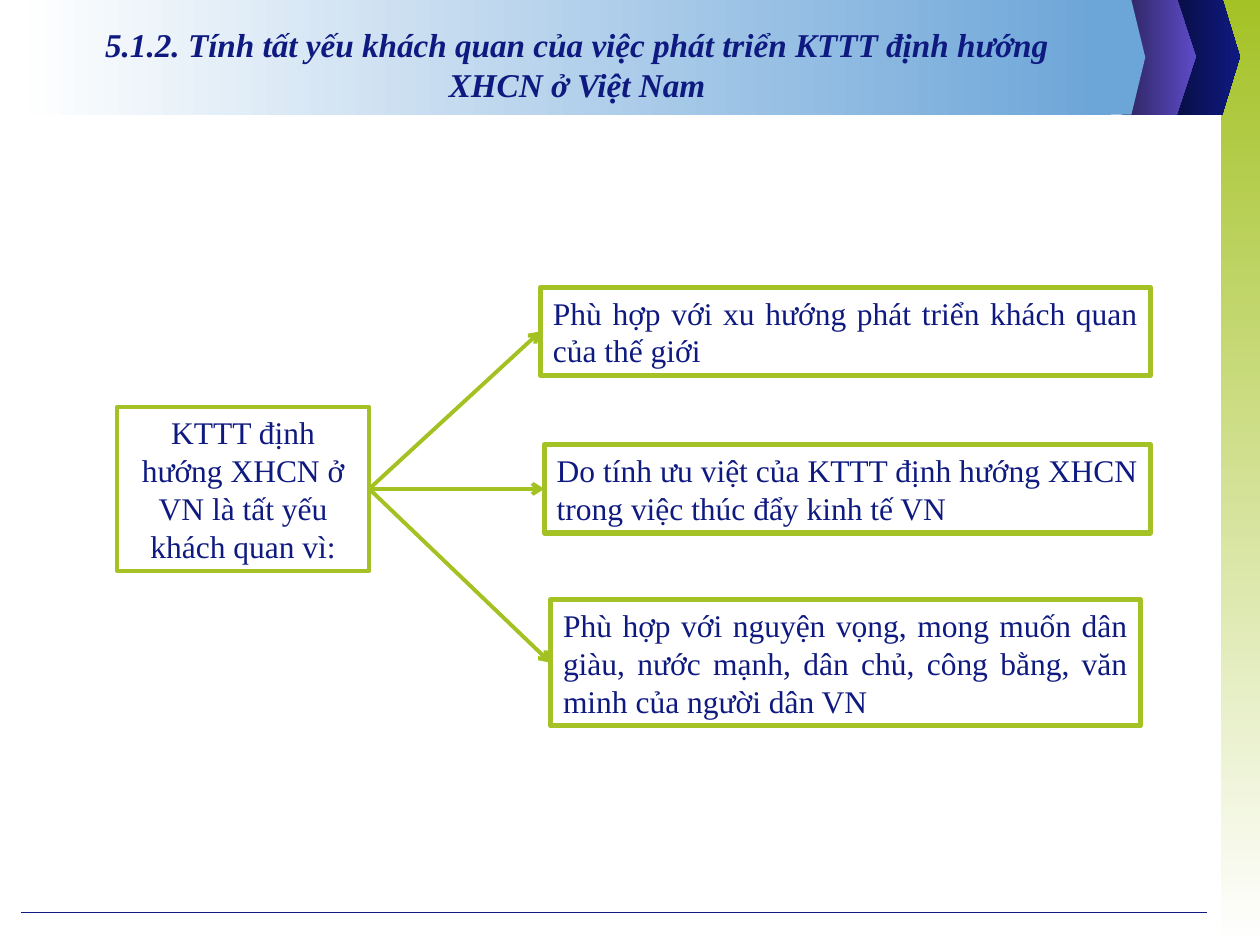
from lxml import etree
from pptx import Presentation
from pptx.dml.color import RGBColor
from pptx.enum.shapes import MSO_CONNECTOR, MSO_SHAPE
from pptx.enum.text import MSO_ANCHOR, MSO_AUTO_SIZE, PP_ALIGN
from pptx.oxml.ns import qn
from pptx.util import Inches, Pt

STRAIGHT = MSO_CONNECTOR.STRAIGHT
RECTANGLE = MSO_SHAPE.RECTANGLE
MIDDLE = MSO_ANCHOR.MIDDLE
FIT_SHAPE = MSO_AUTO_SIZE.SHAPE_TO_FIT_TEXT
CENTER, JUSTIFY = PP_ALIGN.CENTER, PP_ALIGN.JUSTIFY

WHITE = RGBColor(0xFF, 0xFF, 0xFF)
GREEN = RGBColor(0xA4, 0xC2, 0x26)
ARROW_GREEN = RGBColor(0xA3, 0xC1, 0x21)
NAVY = RGBColor(0x0F, 0x1A, 0x81)
DARK_NAVY = RGBColor(0x07, 0x0C, 0x3C)
PURPLE = RGBColor(0x5D, 0x4B, 0xC7)
DARK_PURPLE = RGBColor(0x2B, 0x23, 0x5C)
SKY = RGBColor(0x6C, 0xA5, 0xD8)

FONT = "Times New Roman"
LEFT_SITE, RIGHT_SITE = 1, 3
RIGHTWARD, DOWNWARD = 0, 270

TITLE = ("5.1.2. Tính tất yếu khách quan của việc phát triển KTTT "
         "định hướng XHCN ở Việt Nam")
CLAIM = "KTTT định hướng XHCN ở VN là tất yếu khách quan vì:"
REASONS = [
    ((4.29, 2.28, 4.84, 0.7),
     "Phù hợp với xu hướng phát triển khách quan của thế giới"),
    ((4.32, 3.53, 4.81, 0.7),
     "Do tính ưu việt của KTTT định hướng XHCN trong việc thúc đẩy kinh tế VN"),
    ((4.37, 4.76, 4.68, 1),
     "Phù hợp với nguyện vọng, mong muốn dân giàu, nước mạnh, dân chủ, "
     "công bằng, văn minh của người dân VN"),
]


def fill_shape(shape, colors, angle=RIGHTWARD):
    """Fill with one colour, or with a gradient between two; no outline."""
    shape.shadow.inherit = False
    shape.line.fill.background()
    if len(colors) == 1:
        shape.fill.solid()
        shape.fill.fore_color.rgb = colors[0]
        return
    shape.fill.gradient()
    shape.fill.gradient_angle = angle
    for stop, color in zip(shape.fill.gradient_stops, colors):
        stop.color.rgb = color


def add_rectangle(slide, box):
    return slide.shapes.add_shape(RECTANGLE, *map(Inches, box))


def add_chevron(slide, left, top, shoulder, tip, colors):
    """Draw a flat-backed tab that points right, down to the banner's edge."""
    bottom = 0.91
    outline = [(shoulder, top), (tip, (top + bottom) / 2),
               (shoulder, bottom), (left, bottom)]
    builder = slide.shapes.build_freeform(Inches(left), Inches(top))
    builder.add_line_segments([(Inches(x), Inches(y)) for x, y in outline])
    fill_shape(builder.convert_to_shape(), colors)


def add_line(slide, start, end, color, width):
    line = slide.shapes.add_connector(STRAIGHT, *map(Inches, start + end))
    line.line.color.rgb = color
    line.line.width = Pt(width)
    etree.SubElement(line.element.spPr, qn("a:effectLst"))
    return line


def add_arrow(slide, source, target):
    arrow = add_line(slide, (0, 0), (1, 1), ARROW_GREEN, 2.25)
    arrow.begin_connect(source, RIGHT_SITE)
    arrow.end_connect(target, LEFT_SITE)
    etree.SubElement(arrow.line._get_or_add_ln(), qn("a:tailEnd"), type="arrow")


def write_text(shape, text, size, alignment):
    shape.text_frame.text = text
    shape.text_frame.word_wrap = True
    paragraph = shape.text_frame.paragraphs[0]
    paragraph.alignment = alignment
    font = paragraph.runs[0].font
    font.name = FONT
    font.size = Pt(size)
    font.color.rgb = NAVY
    return font


def add_text_box(slide, box, text, alignment, line_width):
    shape = add_rectangle(slide, box)
    fill_shape(shape, [WHITE])
    shape.line.color.rgb = GREEN
    shape.line.width = Pt(line_width)
    write_text(shape, text, 18, alignment)
    shape.text_frame.vertical_anchor = MIDDLE
    shape.text_frame.auto_size = FIT_SHAPE
    return shape


def add_background(slide):
    fill_shape(add_rectangle(slide, (9.69, 0, 0.31, 7.5)), [GREEN, WHITE], DOWNWARD)
    add_chevron(slide, 9.25, -0.01, 9.7, 9.84, [DARK_NAVY, NAVY])
    add_chevron(slide, 8.9, -0.01, 9.34, 9.49, [DARK_PURPLE, PURPLE])
    add_line(slide, (0.17, 7.24), (9.58, 7.24), NAVY, 0.75)
    fill_shape(add_rectangle(slide, (0.12, 0, 8.7, 0.91)), [WHITE, SKY])
    add_chevron(slide, 8.63, 0, 8.98, 9.09, [SKY])


def place_title(slide):
    title = slide.shapes.title
    title.left, title.top, title.width, title.height = map(
        Inches, (0.58, 0.12, 8, 0.78))
    font = write_text(title, TITLE, 19, CENTER)
    font.bold = font.italic = True
    title.text_frame.vertical_anchor = MIDDLE
    # Bring the title in front of the banner.
    title.element.getparent().append(title.element)


def main():
    presentation = Presentation()
    presentation.slide_width = Inches(10)
    presentation.slide_height = Inches(7.5)
    slide = presentation.slides.add_slide(presentation.slide_layouts[5])
    add_background(slide)
    place_title(slide)
    claim = add_text_box(slide, (0.93, 3.23, 2, 1.3), CLAIM, CENTER, 2.25)
    reasons = [add_text_box(slide, box, text, JUSTIFY, 3) for box, text in REASONS]
    for reason in reasons:
        add_arrow(slide, claim, reason)
    presentation.save("out.pptx")


if __name__ == "__main__":
    main()
